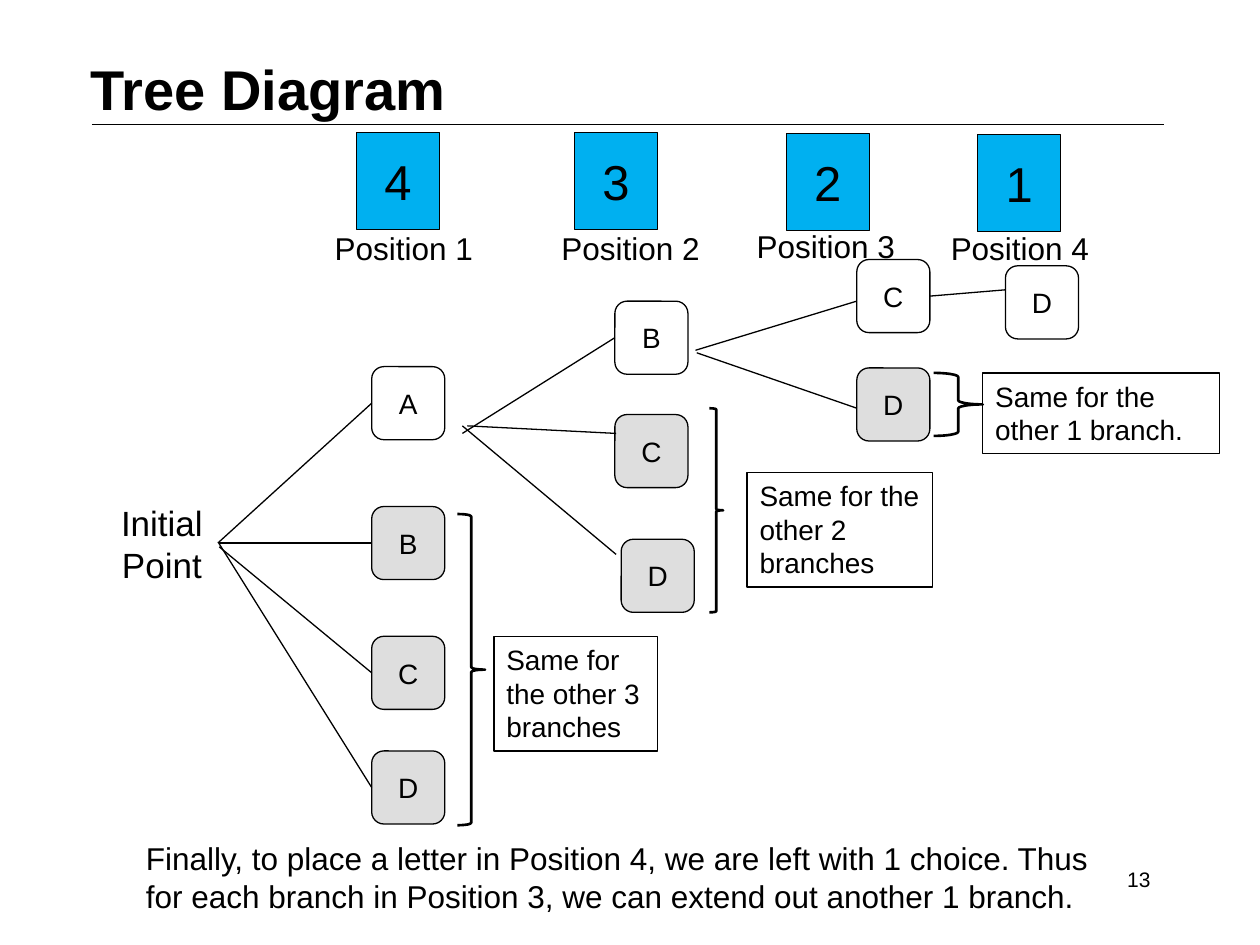
from lxml.etree import SubElement
from pptx import Presentation
from pptx.dml.color import RGBColor
from pptx.enum.shapes import MSO_CONNECTOR as Link, MSO_SHAPE as Shape
from pptx.enum.text import MSO_ANCHOR as Anchor, PP_ALIGN as Align
from pptx.oxml.ns import qn
from pptx.util import Inches, Pt

BLACK, WHITE, BLUE, GREY = "000000", "FFFFFF", "00B0F0", "BFBFBF"
NODE = 0.58
LEFT_SIDE = 1

POSITIONS = [
    ("4", 2.83, 1.05, "Position 1", 2.49, 1.77),
    ("3", 4.56, 1.05, "Position 2", 4.29, 1.77),
    ("2", 6.24, 1.06, "Position 3", 5.84, 1.75),
    ("1", 7.76, 1.07, "Position 4", 7.38, 1.77),
]
NODES = {
    "1A": (2.95, 2.91, WHITE),
    "1B": (2.95, 4.02, GREY),
    "1C": (2.95, 5.05, GREY),
    "1D": (2.95, 5.96, GREY),
    "2B": (4.88, 2.39, WHITE),
    "2C": (4.88, 3.29, GREY),
    "2D": (4.93, 4.28, GREY),
    "3C": (6.8, 2.06, WHITE),
    "3D": (6.8, 2.92, GREY),
    "4D": (7.98, 2.11, WHITE),
}
JOINED_BRANCHES = [
    ("1A", (1.74, 4.3)),
    ("1B", (1.74, 4.31)),
    ("1C", (1.74, 4.34)),
    ("1D", (1.73, 4.3)),
    ("2B", (3.67, 3.44)),
]
FREE_BRANCHES = [
    ((4.89, 3.44), (3.71, 3.38)),
    ((4.89, 4.4), (3.67, 3.38)),
    ((6.8, 2.39), (5.52, 2.78)),
    ((6.8, 3.24), (5.53, 2.8)),
    ((7.98, 2.3), (7.38, 2.35)),
]
NOTES = [
    ("Same for the other 3 branches", (3.92, 5.05, 1.3, 0.91), (3.63, 4.08, 0.22, 2.47)),
    ("Same for the other 2 branches", (5.93, 3.75, 1.47, 0.91), (5.63, 3.24, 0.11, 1.62)),
    ("Same for the other 1 branch.", (7.8, 2.96, 1.88, 0.64), (7.41, 2.96, 0.39, 0.5)),
]
SUMMARY = ("Finally, to place a letter in Position 4, we are left with 1 choice. "
           "Thus for each branch in Position 3, we can extend out another 1 branch.")

deck = Presentation()
deck.slide_width, deck.slide_height = Inches(10), Inches(7.5)
page = deck.slides.add_slide(deck.slide_layouts[6])


def color(value):
    return RGBColor.from_string(value)


def write(box, text, size, align=Align.LEFT, anchor=Anchor.TOP, bold=False):
    frame = box.text_frame
    frame.word_wrap = True
    frame.vertical_anchor = anchor
    para = frame.paragraphs[0]
    para.alignment = align
    span = para.add_run()
    span.text = text
    span.font.name = "Arial"
    span.font.size = Pt(size)
    span.font.bold = bold
    span.font.color.rgb = color(BLACK)


def add_text(text, place, size, **style):
    box = page.shapes.add_textbox(*map(Inches, place))
    write(box, text, size, **style)


def add_box(kind, place, fill=None, width=0.75):
    box = page.shapes.add_shape(kind, *map(Inches, place))
    box.shadow.inherit = False
    box.line.color.rgb = color(BLACK)
    box.line.width = Pt(width)
    if fill is None:
        box.fill.background()
    else:
        box.fill.solid()
        box.fill.fore_color.rgb = color(fill)
    return box


def make_half_transparent(box):
    tint = box.fill._xPr.find(qn("a:solidFill"))[0]
    SubElement(tint, qn("a:alpha")).set("val", "50000")


def add_line(start, end, width=0.75):
    line = page.shapes.add_connector(Link.STRAIGHT, *map(Inches, (*start, *end)))
    line.line.color.rgb = color(BLACK)
    line.line.width = Pt(width)
    SubElement(line._element.spPr, qn("a:effectLst"))
    return line


add_line((0.73, 0.99), (9.24, 0.99), 0.25)
add_text("Tree Diagram", (0.62, 0.32, 8.13, 0.76), 32, anchor=Anchor.MIDDLE, bold=True)

for count, left, top, label, label_left, label_top in POSITIONS:
    tile = add_box(Shape.RECTANGLE, (left, top, 0.66, 0.77), BLUE)
    write(tile, count, 28, Align.CENTER, Anchor.MIDDLE)
    add_text(label, (label_left, label_top, 1.43, 0.45), 18, align=Align.CENTER)

add_text("Initial Point", (0.84, 3.93, 0.89, 0.73), 20, align=Align.CENTER)

nodes = {}
for name, (left, top, fill) in NODES.items():
    node = add_box(Shape.ROUNDED_RECTANGLE, (left, top, NODE, NODE), fill)
    if fill == GREY:
        make_half_transparent(node)
    write(node, name[-1], 16, Align.CENTER, Anchor.MIDDLE)
    nodes[name] = node

for name, source in JOINED_BRANCHES:
    left, top, _ = NODES[name]
    branch = add_line((left, top + NODE / 2), source)
    branch.begin_connect(nodes[name], LEFT_SIDE)
for start, end in FREE_BRANCHES:
    add_line(start, end)

for text, place, brace_place in NOTES:
    add_box(Shape.RIGHT_BRACE, brace_place, width=1.5)
    write(add_box(Shape.RECTANGLE, place), text, 16)

add_text(SUMMARY, (1.06, 6.61, 8, 0.71), 18)
add_text("13", (6.9, 6.83, 2.33, 0.4), 12, align=Align.RIGHT)

deck.save("out.pptx")
